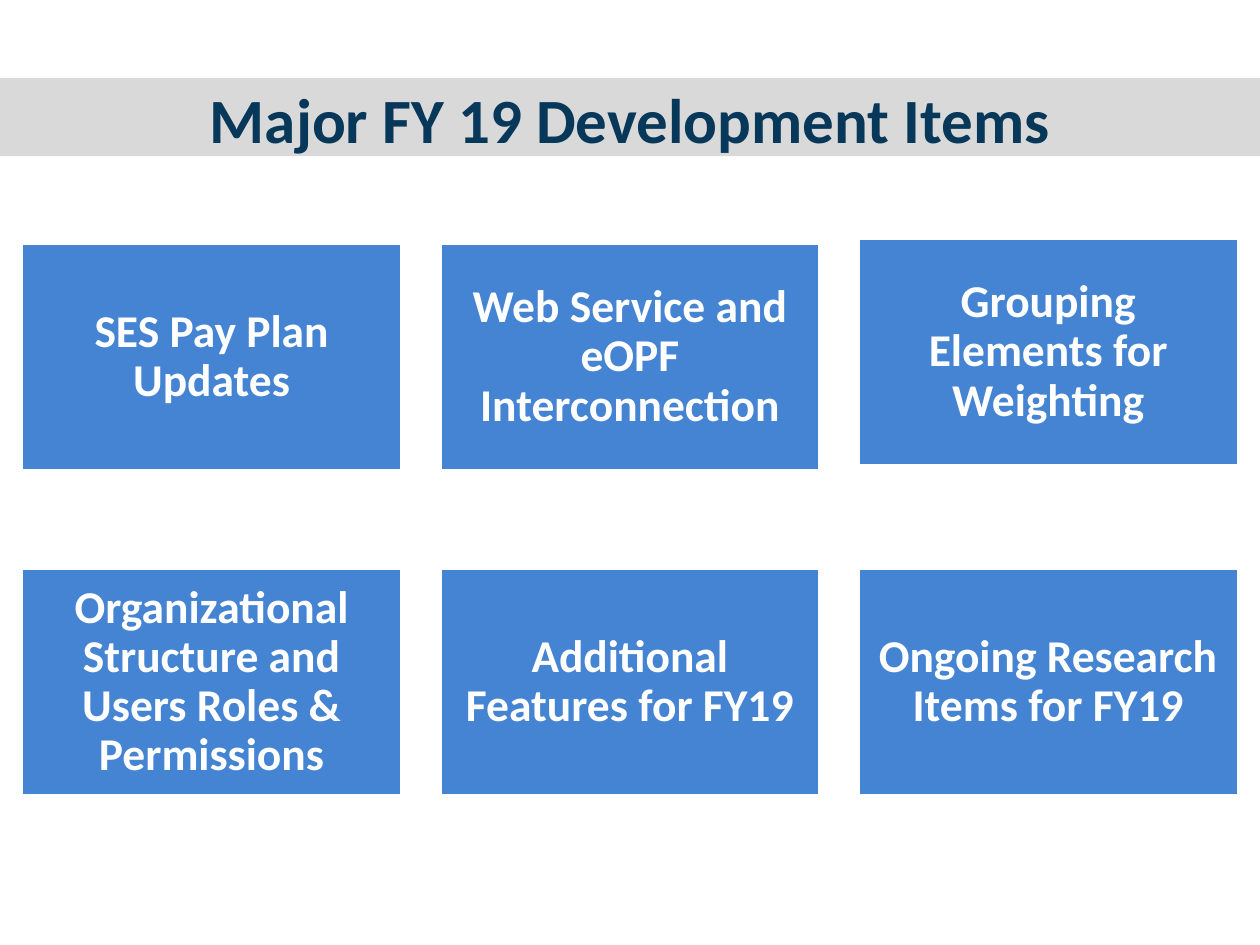
from dataclasses import dataclass

from pptx import Presentation
from pptx.dml.color import RGBColor
from pptx.enum.shapes import MSO_SHAPE
from pptx.enum.text import MSO_ANCHOR, PP_ALIGN
from pptx.shapes.autoshape import Shape
from pptx.slide import Slide
from pptx.util import Inches, Pt

WHITE = RGBColor(0xFF, 0xFF, 0xFF)
BAND_GRAY = RGBColor(0xD9, 0xD9, 0xD9)
NAVY = RGBColor(0x07, 0x37, 0x59)
TILE_BLUE = RGBColor(0x45, 0x84, 0xD3)

SLIDE_WIDTH, SLIDE_HEIGHT = 10, 7.5
TILE_WIDTH, TILE_HEIGHT = 3.02, 1.81
COLUMN_GAP = 0.3
GRID_LEFT = (SLIDE_WIDTH - 3 * TILE_WIDTH - 2 * COLUMN_GAP) / 2
GRID_TOP = 1.93
ROW_PITCH = 2.58


@dataclass(frozen=True)
class Tile:
    text: str
    column: int
    row: int
    lift: float = 0


@dataclass(frozen=True)
class TextStyle:
    size: float
    color: RGBColor
    line_spacing: float
    anchor: MSO_ANCHOR
    insets: tuple[float, float, float, float]


TITLE_STYLE = TextStyle(36, NAVY, Pt(36), MSO_ANCHOR.BOTTOM, (0.69, 0.03, 0.69, 0))
TILE_STYLE = TextStyle(26, WHITE, 0.9, MSO_ANCHOR.MIDDLE, (0.11, 0.11, 0.11, 0.11))

TILES = (
    Tile("SES Pay Plan Updates", 0, 0),
    Tile("Web Service and eOPF Interconnection", 1, 0),
    Tile("Grouping Elements for Weighting", 2, 0, lift=0.04),
    Tile("Organizational Structure and Users Roles & Permissions", 0, 1),
    Tile("Additional Features for FY19", 1, 1),
    Tile("Ongoing Research Items for FY19", 2, 1),
)


def add_panel(slide: Slide, box: tuple[float, float, float, float], fill: RGBColor,
              text: str, style: TextStyle) -> Shape:
    """Add a filled rectangle with bold centred text; box is in inches."""
    panel = slide.shapes.add_shape(MSO_SHAPE.RECTANGLE, *map(Inches, box))
    panel.shadow.inherit = False
    panel.fill.solid()
    panel.fill.fore_color.rgb = fill
    panel.line.fill.background()

    frame = panel.text_frame
    frame.word_wrap = True
    frame.vertical_anchor = style.anchor
    (frame.margin_left, frame.margin_top,
     frame.margin_right, frame.margin_bottom) = map(Inches, style.insets)

    paragraph = frame.paragraphs[0]
    paragraph.text = text
    paragraph.alignment = PP_ALIGN.CENTER
    paragraph.line_spacing = style.line_spacing
    paragraph.font.name = "Calibri"
    paragraph.font.size = Pt(style.size)
    paragraph.font.bold = True
    paragraph.font.color.rgb = style.color
    return panel


def add_tile(slide: Slide, tile: Tile) -> None:
    left = GRID_LEFT + tile.column * (TILE_WIDTH + COLUMN_GAP)
    top = GRID_TOP + tile.row * ROW_PITCH - tile.lift
    panel = add_panel(slide, (left, top, TILE_WIDTH, TILE_HEIGHT),
                      TILE_BLUE, tile.text, TILE_STYLE)
    panel.line.color.rgb = WHITE
    panel.line.width = Pt(2)


def main() -> None:
    presentation = Presentation()
    presentation.slide_width = Inches(SLIDE_WIDTH)
    presentation.slide_height = Inches(SLIDE_HEIGHT)
    slide = presentation.slides.add_slide(presentation.slide_layouts[6])

    add_panel(slide, (0, 0.62, SLIDE_WIDTH, 0.62), BAND_GRAY,
              "Major FY 19 Development Items", TITLE_STYLE)
    for tile in TILES:
        add_tile(slide, tile)

    presentation.save("out.pptx")


if __name__ == "__main__":
    main()
